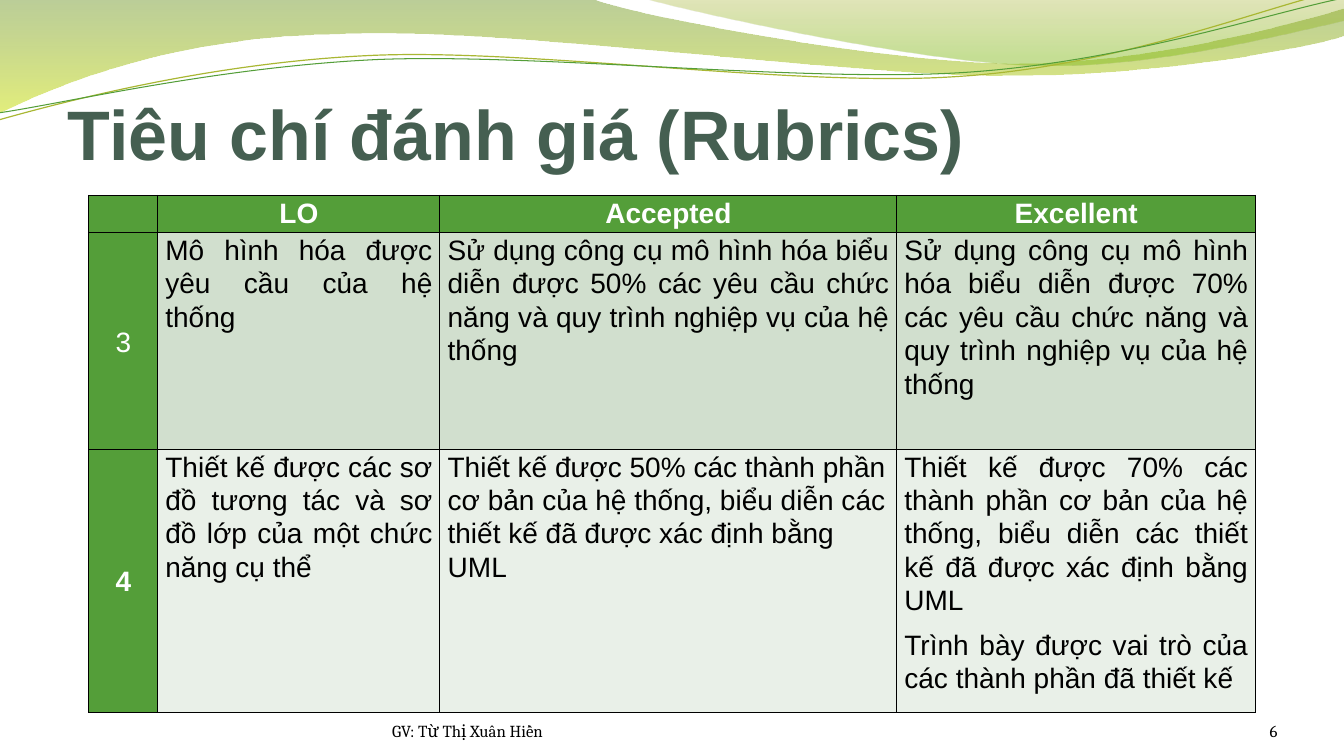
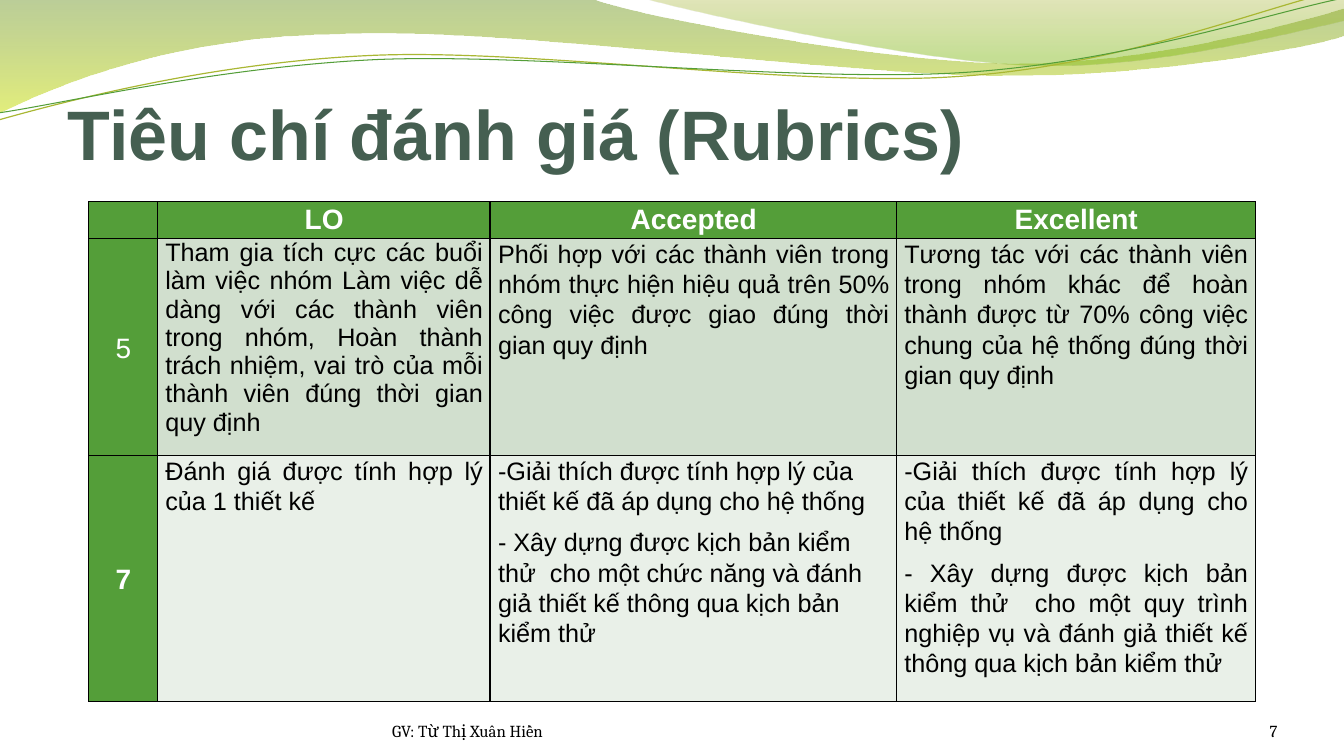
from math import cos, radians, sin

from lxml import etree
from pptx import Presentation
from pptx.dml.color import RGBColor
from pptx.enum.text import MSO_ANCHOR, PP_ALIGN
from pptx.oxml.ns import qn
from pptx.util import Pt

PX = 9144
SLIDE_WIDTH, SLIDE_HEIGHT = 1333, 750

TOP, MIDDLE, BOTTOM = MSO_ANCHOR.TOP, MSO_ANCHOR.MIDDLE, MSO_ANCHOR.BOTTOM
LEFT, CENTER, RIGHT, JUSTIFY = PP_ALIGN.LEFT, PP_ALIGN.CENTER, PP_ALIGN.RIGHT, PP_ALIGN.JUSTIFY

BLACK = RGBColor(0x00, 0x00, 0x00)
WHITE = RGBColor(0xFF, 0xFF, 0xFF)
TITLE_GREEN = RGBColor(0x45, 0x5F, 0x51)
GREEN = RGBColor(0x54, 0x9E, 0x39)
OLIVE = RGBColor(0xA9, 0xB7, 0x33)
MOSS = RGBColor(0x69, 0x92, 0x1C)
LIME = RGBColor(0xCC, 0xE1, 0x0F)
MUSTARD = RGBColor(0x9B, 0xAA, 0x1A)
LEAF = RGBColor(0x81, 0xBA, 0x16)
BAND_FILLS = (RGBColor(0xD1, 0xDF, 0xCE), RGBColor(0xE9, 0xF0, 0xE8))

TITLE = "Tiêu chí đánh giá (Rubrics)"
FOOTER = "GV: Từ Thị Xuân Hiền"
HEADINGS = ("", "LO", "Accepted", "Excellent")
TABLE_LEFT = 88
ROW_HEIGHTS = (37, 215, 244)
CELL_INSETS = (8, 0, 7, 0)

CURVE_TILT = 357.3
WIDE_WAVE = ((0, 0), [
    ((587, -1),),
    ((634, 17), (884, 63), (1011, 63)),
    ((1137, 63), (1277, 26), (1333, 9)),
    ((1334, 36),),
    ((1311, 44), (1159, 76), (994, 75)),
    ((829, 75), (509, 28), (343, 34)),
    ((172, 36), (61, 83), (-2, 113)),
    ((0, 0),),
])
RIGHT_WAVE = ((638, -1), [
    ((679, 11), (909, 62), (1025, 65)),
    ((1140, 69), (1282, 32), (1333, 21)),
    ((1333, 0),),
    ((638, -1),),
])
OLIVE_CURVE = ((-1, 119), [
    ((63, 101), (210, 62), (369, 55)),
    ((527, 48), (789, 87), (949, 76)),
    ((1110, 66), (1251, 8), (1330, -10)),
])
GREEN_CURVE = ((-1, 112), [
    ((62, 103), (218, 66), (377, 59)),
    ((537, 53), (796, 82), (955, 72)),
    ((1114, 62), (1255, 14), (1333, -2)),
])

MODELLING_ROWS = (
    ("3",
     "Mô hình hóa được yêu cầu của hệ thống",
     "Sử dụng công cụ mô hình hóa biểu diễn được 50% các yêu cầu chức năng "
     "và quy trình nghiệp vụ của hệ thống",
     "Sử dụng công cụ mô hình hóa biểu diễn được 70% các yêu cầu chức năng "
     "và quy trình nghiệp vụ của hệ thống"),
    ("4",
     "Thiết kế được các sơ đồ tương tác và sơ đồ lớp của một chức năng cụ thể",
     "Thiết kế được 50% các thành phần cơ bản của hệ thống, biểu diễn các "
     "thiết kế đã được xác định bằng UML",
     "Thiết kế được 70% các thành phần cơ bản của hệ thống, biểu diễn các "
     "thiết kế đã được xác định bằng UML\n"
     "Trình bày được vai trò của các thành phần đã thiết kế"),
)
TEAMWORK_ROWS = (
    ("5",
     "Tham gia tích cực các buổi làm việc nhóm Làm việc dễ dàng với các thành "
     "viên trong nhóm, Hoàn thành trách nhiệm, vai trò của mỗi thành viên "
     "đúng thời gian quy định",
     "Phối hợp với các thành viên trong nhóm thực hiện hiệu quả trên 50% "
     "công việc được giao đúng thời gian quy định",
     "Tương tác với các thành viên trong nhóm khác để hoàn thành được từ 70% "
     "công việc chung của hệ thống đúng thời gian quy định"),
    ("7",
     "Đánh giá được tính hợp lý của 1 thiết kế",
     "-Giải thích được tính hợp lý của thiết kế đã áp dụng cho hệ thống\n"
     "- Xây dựng được kịch bản kiểm thử  cho một chức năng và đánh giả "
     "thiết kế thông qua kịch bản kiểm thử",
     "-Giải thích được tính hợp lý của thiết kế đã áp dụng cho hệ thống\n"
     "- Xây dựng được kịch bản kiểm thử  cho một quy trình nghiệp vụ và "
     "đánh giả thiết kế thông qua kịch bản kiểm thử"),
)


def write_text(frame, text, size, font="Arial", color=BLACK, bold=False,
               align=LEFT, line_spacing=1.0, space_after=0):
    lines = text.split("\n")
    for index, line in enumerate(lines):
        para = frame.add_paragraph() if index else frame.paragraphs[0]
        para.alignment = align
        para.line_spacing = line_spacing
        para.space_after = Pt(space_after if index < len(lines) - 1 else 0)
        span = para.add_run()
        span.text = line
        span.font.name = font
        span.font.size = Pt(size)
        span.font.bold = bold
        span.font.color.rgb = color


def set_insets(holder, left, top, right, bottom):
    holder.margin_left, holder.margin_top = left * PX, top * PX
    holder.margin_right, holder.margin_bottom = right * PX, bottom * PX


def add_text(page, text, left, top, width, height, inset_top=0, **style):
    box = page.shapes.add_textbox(left * PX, top * PX, width * PX, height * PX)
    frame = box.text_frame
    frame.word_wrap = True
    frame.vertical_anchor = BOTTOM
    set_insets(frame, 0, inset_top, 0, 0)
    write_text(frame, text, **style)


def turn(points, degrees):
    center_x, center_y = ((min(axis) + max(axis)) / 2 for axis in zip(*points))
    cosine, sine = cos(radians(degrees)), sin(radians(degrees))
    return [(center_x + (x - center_x) * cosine - (y - center_y) * sine,
             center_y + (x - center_x) * sine + (y - center_y) * cosine)
            for x, y in points]


def bend_segments(shape, segments):
    lines = iter(list(shape.element.spPr.iter(qn("a:lnTo"))))
    for segment in segments:
        first, *others = [next(lines) for _ in segment]
        if others:
            first.tag = qn("a:cubicBezTo")
        for line in others:
            first.append(line[0])
            line.getparent().remove(line)


def add_outline(page, outline, closed, rotation=0):
    start, segments = outline
    points = [start] + [point for segment in segments for point in segment]
    points = [(round(x * PX), round(y * PX)) for x, y in turn(points, -rotation)]
    builder = page.shapes.build_freeform(*points[0], scale=1.0)
    builder.add_line_segments(points[1:], close=closed)
    shape = builder.convert_to_shape()
    bend_segments(shape, segments)
    shape.rotation = rotation
    shape.shadow.inherit = False
    return shape


def add_wave(page, outline, stops):
    shape = add_outline(page, outline, True)
    shape.line.fill.background()
    shape.fill.gradient()
    shape.fill.gradient_angle = 270
    for stop, (position, color, _) in zip(shape.fill.gradient_stops, stops):
        stop.position = position
        stop.color.rgb = color
    for node, (_, _, opacity) in zip(shape.element.spPr.iter(qn("a:srgbClr")), stops):
        etree.SubElement(node, qn("a:alpha"), val=str(opacity * 1000))


def add_curve(page, outline, color, width):
    shape = add_outline(page, outline, False, CURVE_TILT)
    shape.fill.background()
    shape.line.color.rgb = color
    shape.line.width = Pt(width)


def add_borders(cell):
    properties = cell._tc.get_or_add_tcPr()
    for side in ("a:lnL", "a:lnR", "a:lnT", "a:lnB"):
        line = etree.SubElement(properties, qn(side), w=str(Pt(1)))
        fill = etree.SubElement(line, qn("a:solidFill"))
        etree.SubElement(fill, qn("a:srgbClr"), val=str(BLACK))


def fill_cell(cell, text, fill, anchor=TOP, line_spacing=1.07, space_after=8, **style):
    add_borders(cell)
    cell.fill.solid()
    cell.fill.fore_color.rgb = fill
    cell.vertical_anchor = anchor
    set_insets(cell, *CELL_INSETS)
    if text:
        write_text(cell.text_frame, text, line_spacing=line_spacing,
                   space_after=space_after, **style)


def add_rubric(page, rows, top, column_widths, body_size, tight_first=False):
    table = page.shapes.add_table(
        len(ROW_HEIGHTS), len(column_widths), TABLE_LEFT * PX, top * PX,
        sum(column_widths) * PX, sum(ROW_HEIGHTS) * PX).table
    table.first_row = table.horz_banding = False
    for column, width in zip(table.columns, column_widths):
        column.width = width * PX
    for row, height in zip(table.rows, ROW_HEIGHTS):
        row.height = height * PX

    heading_style = dict(fill=GREEN, size=20, color=WHITE, align=CENTER)
    for column, heading in enumerate(HEADINGS):
        fill_cell(table.cell(0, column), heading, bold=True, **heading_style)
    for index, (number, *texts) in enumerate(rows):
        fill_cell(table.cell(index + 1, 0), number, anchor=MIDDLE,
                  bold=index == 1, **heading_style)
        for column, text in enumerate(texts, 1):
            tight = tight_first and (index, column) == (0, 1)
            fill_cell(table.cell(index + 1, column), text, fill=BAND_FILLS[index],
                      size=body_size, line_spacing=1.0 if tight else 1.07,
                      align=LEFT if (index, column) == (1, 2) else JUSTIFY)


def add_page(deck, number):
    page = deck.slides.add_slide(deck.slide_layouts[6])
    add_wave(page, WIDE_WAVE, ((0, MOSS, 45), (1, LIME, 55)))
    add_wave(page, RIGHT_WAVE, ((0, MUSTARD, 30), (0.8, LEAF, 45)))
    add_curve(page, OLIVE_CURVE, OLIVE, 0.85)
    add_curve(page, GREEN_CURVE, GREEN, 0.75)
    add_text(page, TITLE, 67, 77, 1200, 96, inset_top=5,
             size=50, color=TITLE_GREEN, bold=True)
    add_text(page, FOOTER, 389, 695, 489, 40, size=12, font="Cambria")
    add_text(page, str(number), 1156, 695, 111, 40,
             size=12, font="Cambria", align=RIGHT)
    return page


def main():
    deck = Presentation()
    deck.slide_width, deck.slide_height = SLIDE_WIDTH * PX, SLIDE_HEIGHT * PX
    add_rubric(add_page(deck, 6), MODELLING_ROWS, 194, (68, 280, 453, 356), 20)
    add_rubric(add_page(deck, 7), TEAMWORK_ROWS, 200, (68, 330, 403, 356), 18,
               tight_first=True)
    deck.save("out.pptx")


if __name__ == "__main__":
    main()
